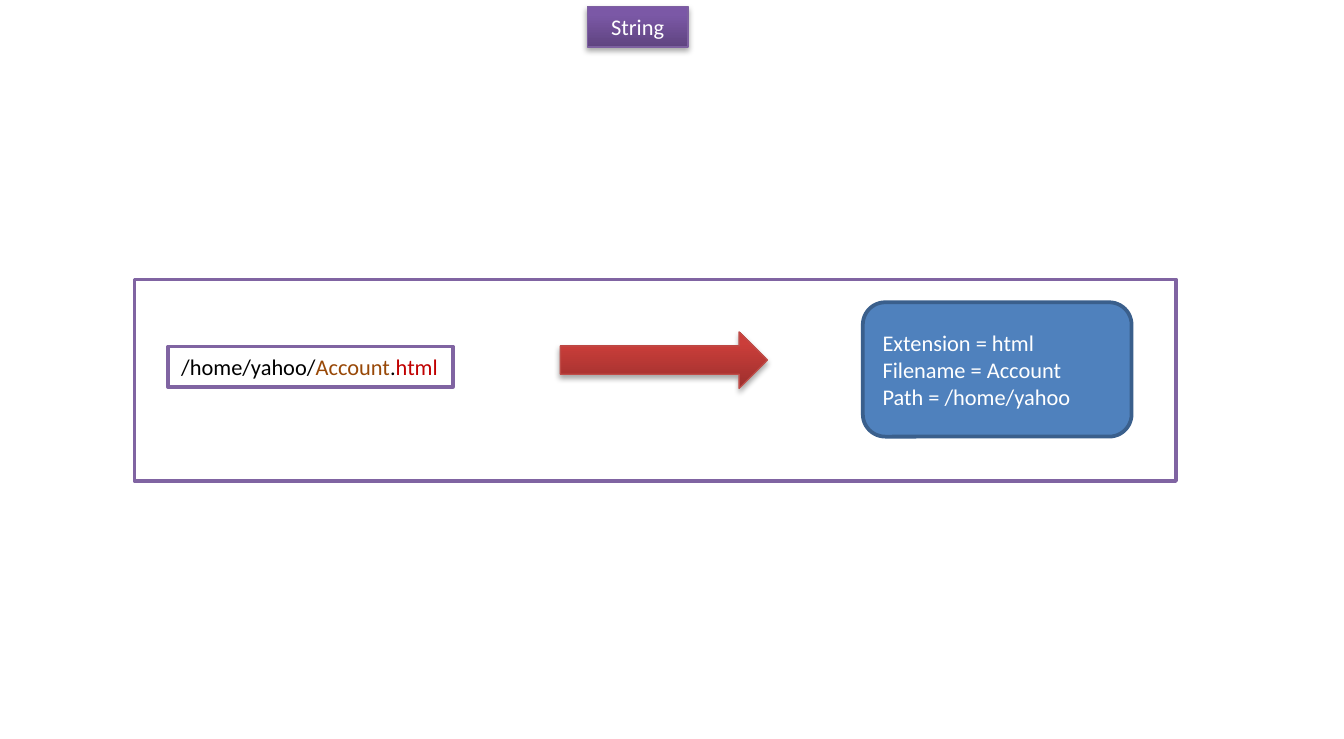
from copy import deepcopy

from lxml.etree import SubElement
from pptx import Presentation
from pptx.dml.color import RGBColor
from pptx.enum.shapes import MSO_SHAPE
from pptx.enum.text import MSO_ANCHOR, MSO_AUTO_SIZE, PP_ALIGN
from pptx.oxml.ns import qn
from pptx.util import Inches, Pt

COLORS = {
    "white": "FFFFFF",
    "black": "000000",
    "purple": "8064A2",
    "violet": "7D60A0",
    "blue": "4F81BD",
    "navy": "3A5F8C",
    "red": "BF4C48",
    "brown": "984807",
    "crimson": "C00000",
}
PURPLE_FADE = [(0, "5F4480"), (0.8, "7B58A6"), (1, "7C57A8")]
RED_FADE = [(0, "9C2F2D"), (0.8, "CB3E3A"), (1, "CE3B37")]


def rgb(name):
    return RGBColor.from_string(COLORS[name])


def add_box(slide, kind, area, line, width, fill="white"):
    box = slide.shapes.add_shape(kind, *[Inches(n) for n in area])
    box.shadow.inherit = False
    box.fill.solid()
    box.fill.fore_color.rgb = rgb(fill)
    box.line.color.rgb = rgb(line)
    box.line.width = Pt(width)
    return box


def add_fade(box, fade):
    """Fill the box with a gradient running from bottom to top."""
    box.fill.gradient()
    box.fill.gradient_angle = 90
    stops = box._element.spPr.find(qn("a:gradFill")).find(qn("a:gsLst"))
    stops.append(deepcopy(stops[-1]))
    for stop, (place, color) in zip(box.fill.gradient_stops, fade):
        stop.position = place
        stop.color.rgb = RGBColor.from_string(color)


def add_shadow(box):
    effects = box._element.spPr.find(qn("a:effectLst"))
    shade = SubElement(effects, qn("a:outerShdw"), blurRad=str(Pt(3.1)),
                       dist=str(Pt(1.8)), dir="5400000", rotWithShape="0")
    color = SubElement(shade, qn("a:srgbClr"), val=COLORS["black"])
    SubElement(color, qn("a:alpha"), val="35000")


def add_text(box, lines, align=PP_ALIGN.LEFT, anchor=MSO_ANCHOR.TOP, wrap=True):
    """Write lines, each a list of (text, color) runs."""
    frame = box.text_frame
    frame.word_wrap = wrap
    frame.vertical_anchor = anchor
    for i, runs in enumerate(lines):
        para = frame.add_paragraph() if i else frame.paragraphs[0]
        para.alignment = align
        for text, color in runs:
            run = para.add_run()
            run.text = text
            run.font.name = "Calibri"
            run.font.size = Pt(12)
            run.font.color.rgb = rgb(color)


def main():
    deck = Presentation()
    deck.slide_width, deck.slide_height = Inches(10), Inches(5.5)
    slide = deck.slides.add_slide(deck.slide_layouts[6])

    add_box(slide, MSO_SHAPE.RECTANGLE, (1, 2.08, 7.75, 1.5), "purple", 2)

    label = add_box(slide, MSO_SHAPE.RECTANGLE, (4.37, 0.05, 0.75, 0.3), "violet", 0.75)
    add_fade(label, PURPLE_FADE)
    add_shadow(label)
    add_text(label, [[("String", "white")]], PP_ALIGN.CENTER)
    label.text_frame.auto_size = MSO_AUTO_SIZE.SHAPE_TO_FIT_TEXT

    source = add_box(slide, MSO_SHAPE.RECTANGLE, (1.25, 2.58, 2.12, 0.3), "purple", 2)
    add_text(source, [[("/home/yahoo/", "black"), ("Account", "brown"),
                       (".", "black"), ("html", "crimson")]], wrap=False)
    source.text_frame.auto_size = MSO_AUTO_SIZE.SHAPE_TO_FIT_TEXT

    result = add_box(slide, MSO_SHAPE.ROUNDED_RECTANGLE, (6.42, 2.25, 2, 1),
                     "navy", 2, "blue")
    add_text(result, [[("Extension = html Filename = Account", "white")],
                      [("Path = /home/yahoo", "white")]], anchor=MSO_ANCHOR.MIDDLE)

    arrow = add_box(slide, MSO_SHAPE.RIGHT_ARROW, (4.17, 2.47, 1.54, 0.42), "red", 0.75)
    add_fade(arrow, RED_FADE)
    add_shadow(arrow)

    deck.save("out.pptx")


if __name__ == "__main__":
    main()
